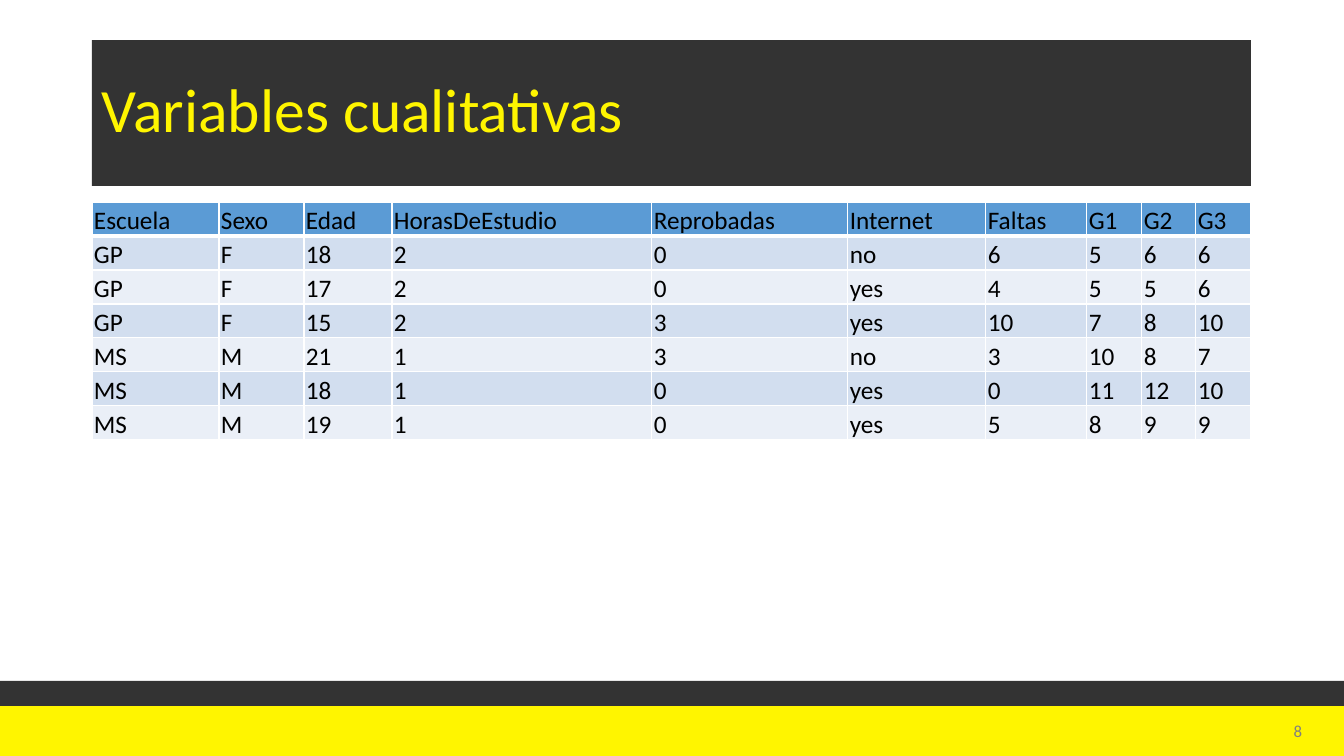
from lxml import etree
from pptx import Presentation
from pptx.dml.color import RGBColor
from pptx.enum.shapes import MSO_SHAPE
from pptx.enum.text import MSO_ANCHOR, PP_ALIGN
from pptx.oxml.ns import qn
from pptx.util import Emu, Pt

RECTANGLE = MSO_SHAPE.RECTANGLE
MIDDLE, BOTTOM = MSO_ANCHOR.MIDDLE, MSO_ANCHOR.BOTTOM
LEFT, CENTER = PP_ALIGN.LEFT, PP_ALIGN.CENTER

THEME = {
    "font": "Calibri",
    "yellow": "FFF500", "charcoal": "333333", "gray": "808080",
    "ink": "000000", "border": "FFFFFF",
    "header": "5B9BD5", "bands": ("D2DEEF", "EAEFF7"),
    "title_size": 44, "table_size": 18, "number_size": 12,
}


def px(length):
    return Emu(round(length * 914400 / 100.8))


def write(frame, text, size, color, align, anchor):
    frame.text = text
    frame.word_wrap = True
    frame.vertical_anchor = anchor
    paragraph = frame.paragraphs[0]
    paragraph.alignment = align
    font = paragraph.runs[0].font
    font.name = THEME["font"]
    font.size = Pt(THEME[size])
    font.color.rgb = RGBColor.from_string(THEME[color])


presentation = Presentation()
presentation.slide_width = px(1344)
presentation.slide_height = px(756)
slide = presentation.slides.add_slide(presentation.slide_layouts[6])

panels = []
for left, top, width, height, color in (
    (0, 706, 1344, 50, "yellow"),
    (0, 681, 1344, 25, "charcoal"),
    (92, 40, 1159, 146, "charcoal"),
):
    panel = slide.shapes.add_shape(RECTANGLE, px(left), px(top), px(width), px(height))
    panel.shadow.inherit = False
    panel.fill.solid()
    panel.fill.fore_color.rgb = RGBColor.from_string(THEME[color])
    panel.line.fill.background()
    panels.append(panel)

title = panels[-1].text_frame
write(title, "Variables cualitativas", "title_size", "yellow", LEFT, MIDDLE)
title.paragraphs[0].line_spacing = 0.9

page_number = slide.shapes.add_textbox(px(1252), px(706), px(92), px(50))
write(page_number.text_frame, "8", "number_size", "gray", CENTER, MIDDLE)

students = (
    ("Escuela", "Sexo", "Edad", "HorasDeEstudio", "Reprobadas",
     "Internet", "Faltas", "G1", "G2", "G3"),
    ("GP", "F", "18", "2", "0", "no", "6", "5", "6", "6"),
    ("GP", "F", "17", "2", "0", "yes", "4", "5", "5", "6"),
    ("GP", "F", "15", "2", "3", "yes", "10", "7", "8", "10"),
    ("MS", "M", "21", "1", "3", "no", "3", "10", "8", "7"),
    ("MS", "M", "18", "1", "0", "yes", "0", "11", "12", "10"),
    ("MS", "M", "19", "1", "0", "yes", "5", "8", "9", "9"),
)
column_widths = (127, 85, 88, 260, 196, 138, 101, 55, 54, 55)
row_height = 34

table = slide.shapes.add_table(
    len(students), len(column_widths), px(92), px(202),
    px(sum(column_widths)), px(row_height * len(students)),
).table
for column, width in zip(table.columns, column_widths):
    column.width = px(width)

for row_index, student in enumerate(students):
    table.rows[row_index].height = px(row_height)
    fill = THEME["bands"][(row_index - 1) % 2] if row_index else THEME["header"]
    for column_index, value in enumerate(student):
        cell = table.cell(row_index, column_index)
        write(cell.text_frame, value, "table_size", "ink", LEFT, BOTTOM)
        cell.vertical_anchor = BOTTOM
        cell.margin_left = cell.margin_right = px(2)
        cell.margin_top, cell.margin_bottom = px(1), 0
        cell.fill.solid()
        cell.fill.fore_color.rgb = RGBColor.from_string(fill)
        properties = cell._tc.get_or_add_tcPr()
        for position, side in enumerate(("lnL", "lnR", "lnT", "lnB")):
            weight = 3 if row_index == 0 and side == "lnB" else 1
            border = etree.Element(qn(f"a:{side}"), w=str(Pt(weight)))
            border_fill = etree.SubElement(border, qn("a:solidFill"))
            etree.SubElement(border_fill, qn("a:srgbClr"), val=THEME["border"])
            properties.insert(position, border)

presentation.save("out.pptx")
